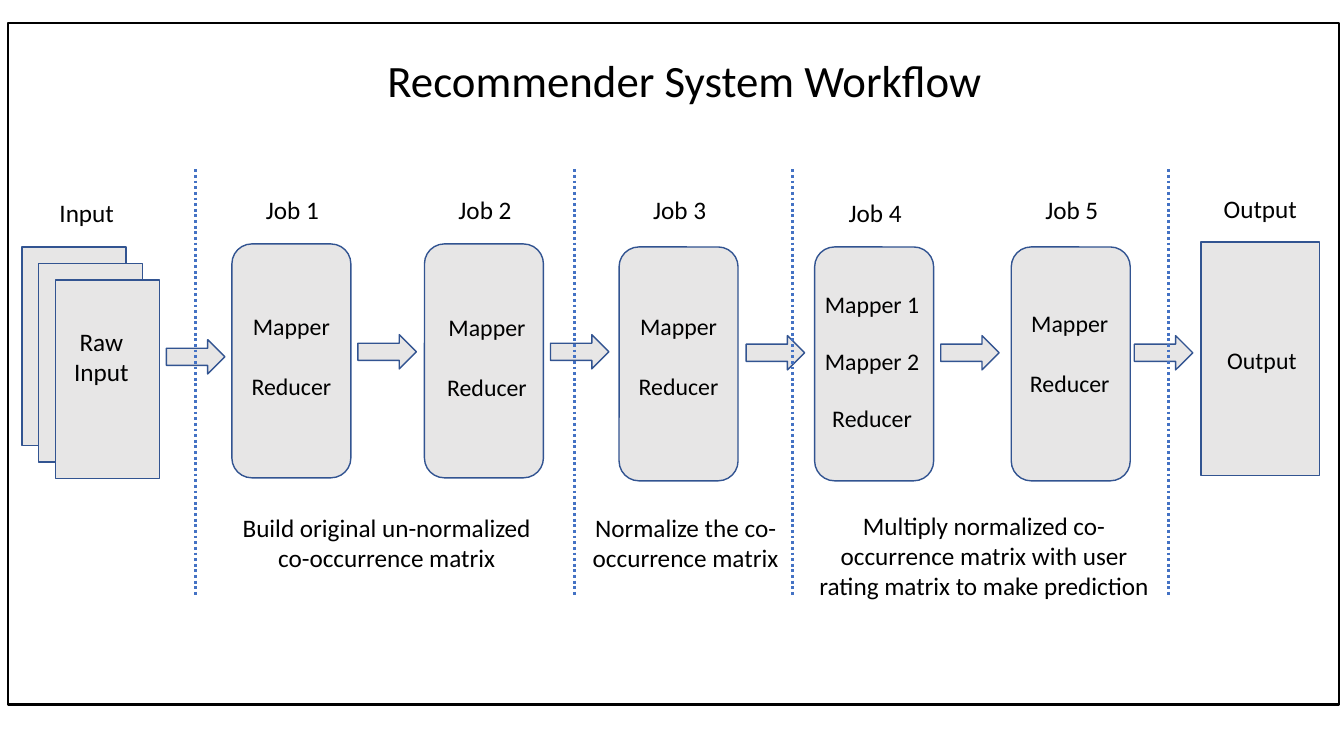
from dataclasses import dataclass

import pptx
import pptx.dml.color
import pptx.enum.dml
import pptx.enum.shapes
import pptx.enum.text
import pptx.oxml.ns
import pptx.shapes.autoshape
import pptx.slide
import pptx.util
from lxml import etree

Inches = pptx.util.Inches
Shape = pptx.enum.shapes.MSO_SHAPE
FONT = "Calibri"
BLACK = "000000"
WHITE = "FFFFFF"
PANEL_FILL = "E7E6E6"
PANEL_LINE = "325491"
DIVIDER_LINE = "4472C4"
PANEL_WIDTH = 1.18
PANEL_HEIGHT = 2.32


@dataclass(frozen=True)
class Job:
    name: str
    left: float
    top: float
    label_top: float
    step_left: float
    step_top: float
    step_pitch: float
    steps: tuple[str, ...] = ("Mapper", "Reducer")


@dataclass(frozen=True)
class Label:
    lines: tuple[str, ...]
    left: float
    top: float
    width: float
    height: float
    size: float = 18


@dataclass(frozen=True)
class Arrow:
    left: float
    top: float


JOBS = (
    Job("Job 1", 2.3, 2.42, 1.88, 2.3, 3.04, 0.6),
    Job("Job 2", 4.21, 2.42, 1.88, 4.24, 3.05, 0.6),
    Job("Job 3", 6.14, 2.45, 1.88, 6.14, 3.04, 0.6),
    Job("Job 4", 8.08, 2.45, 1.91, 8.06, 2.82, 0.57, ("Mapper 1", "Mapper 2", "Reducer")),
    Job("Job 5", 10.03, 2.45, 1.88, 10.02, 3.01, 0.6),
)
ARROWS = (
    Arrow(1.65, 3.37),
    Arrow(3.55, 3.32),
    Arrow(5.46, 3.32),
    Arrow(7.4, 3.33),
    Arrow(9.33, 3.33),
    Arrow(11.25, 3.33),
)
LABELS = (
    Label(("Recommender System Workflow",), 3.45, 0.47, 6.68, 0.64, 32),
    Label(("Input",), 0.35, 1.91, 1.02, 0.4),
    Label(("Raw Input",), 0.55, 3.19, 0.91, 0.71),
    Label(("Output",), 11.91, 1.87, PANEL_WIDTH, 0.4),
    Label(("Output",), 11.99, 3.38, 1.05, 0.39, 17),
    Label(("Build original un-normalized", "co-occurrence matrix"), 2.29, 5.03, 3.09, 0.71),
    Label(("Normalize the co-occurrence matrix",), 5.55, 5.03, 2.5, 0.71),
    Label(
        ("Multiply normalized co-occurrence matrix with user rating matrix to make prediction",),
        7.97, 5.01, 3.58, 1.01,
    ),
)
DIVIDERS = (1.94, 5.7, 7.86, 11.59)


def color(value: str) -> pptx.dml.color.RGBColor:
    return pptx.dml.color.RGBColor.from_string(value)


def draw_shape(
    slide: pptx.slide.Slide,
    kind: Shape,
    left: float,
    top: float,
    width: float,
    height: float,
    fill: str = PANEL_FILL,
    line: str = PANEL_LINE,
    line_width: float = 1,
) -> pptx.shapes.autoshape.Shape:
    shape = slide.shapes.add_shape(
        kind, Inches(left), Inches(top), Inches(width), Inches(height)
    )
    shape.shadow.inherit = False
    shape.fill.solid()
    shape.fill.fore_color.rgb = color(fill)
    shape.line.color.rgb = color(line)
    shape.line.width = pptx.util.Pt(line_width)
    return shape


def draw_label(slide: pptx.slide.Slide, label: Label) -> None:
    box = slide.shapes.add_textbox(
        Inches(label.left), Inches(label.top), Inches(label.width), Inches(label.height)
    )
    frame = box.text_frame
    frame.word_wrap = True
    frame.auto_size = pptx.enum.text.MSO_AUTO_SIZE.SHAPE_TO_FIT_TEXT
    for index, line in enumerate(label.lines):
        para = frame.add_paragraph() if index else frame.paragraphs[0]
        para.alignment = pptx.enum.text.PP_ALIGN.CENTER
        span = para.add_run()
        span.text = line
        span.font.name = FONT
        span.font.size = pptx.util.Pt(label.size)
        span.font.color.rgb = color(BLACK)


def draw_job(slide: pptx.slide.Slide, job: Job) -> None:
    draw_shape(
        slide, Shape.ROUNDED_RECTANGLE, job.left, job.top, PANEL_WIDTH, PANEL_HEIGHT
    )
    draw_label(slide, Label((job.name,), job.left + 0.01, job.label_top, PANEL_WIDTH, 0.4))
    for index, step in enumerate(job.steps):
        top = job.step_top + index * job.step_pitch
        draw_label(slide, Label((step,), job.step_left, top, PANEL_WIDTH, 0.39, 17))


def draw_divider(slide: pptx.slide.Slide, left: float) -> None:
    divider = slide.shapes.add_connector(
        pptx.enum.shapes.MSO_CONNECTOR.STRAIGHT,
        Inches(left), Inches(1.68), Inches(left), Inches(5.91),
    )
    divider.line.color.rgb = color(DIVIDER_LINE)
    divider.line.width = pptx.util.Pt(2)
    divider.line.dash_style = pptx.enum.dml.MSO_LINE.ROUND_DOT
    etree.SubElement(divider._element.spPr, pptx.oxml.ns.qn("a:effectLst"))


def main() -> None:
    deck = pptx.Presentation()
    deck.slide_width = Inches(13.33)
    deck.slide_height = Inches(7.5)
    page = deck.slides.add_slide(deck.slide_layouts[6])

    draw_shape(page, Shape.RECTANGLE, 0.08, 0.23, 13.2, 6.76, WHITE, BLACK, 1.5)
    for sheet in range(3):
        offset = sheet * 0.165
        draw_shape(page, Shape.RECTANGLE, 0.22 + offset, 2.45 + offset, 1.03, 1.97)
    draw_shape(page, Shape.RECTANGLE, 11.91, 2.4, PANEL_WIDTH, PANEL_HEIGHT)
    for job in JOBS:
        draw_job(page, job)
    for arrow in ARROWS:
        draw_shape(page, Shape.RIGHT_ARROW, arrow.left, arrow.top, 0.58, 0.34)
    for label in LABELS:
        draw_label(page, label)
    for left in DIVIDERS:
        draw_divider(page, left)

    deck.save("out.pptx")


if __name__ == "__main__":
    main()
